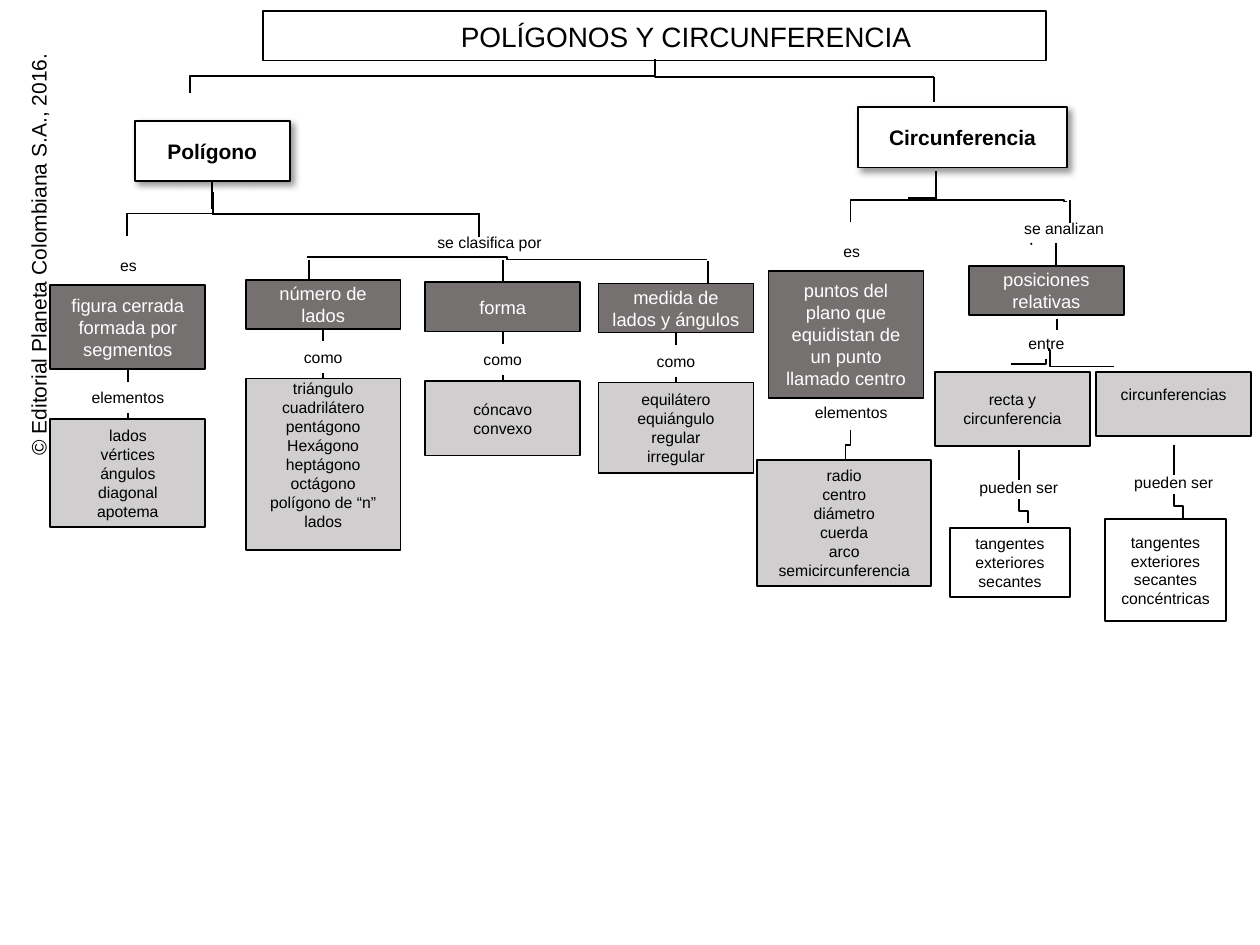
from lxml.etree import SubElement
from pptx import Presentation
from pptx.dml.color import RGBColor
from pptx.enum.shapes import MSO_CONNECTOR, MSO_SHAPE
from pptx.enum.text import MSO_ANCHOR, PP_ALIGN
from pptx.oxml.ns import qn
from pptx.util import Inches, Pt

COLOURS = {
    "black": "000000",
    "white": "FFFFFF",
    "term": "767171",
    "detail": "D0CECE",
}
SIZES = {"title": 16, "topic": 12, "term": 10.5, "detail": 9}
COLUMNS, ROWS = 100, 75
BOX_WIDTH = 12.3
LABEL_HEIGHT = 2.5


class ConceptMap:
    def __init__(self, deck):
        self.slide = deck.slides.add_slide(deck.slide_layouts[6])
        self.column = deck.slide_width / COLUMNS
        self.row = deck.slide_height / ROWS

    def scale(self, x, y):
        return round(x * self.column), round(y * self.row)

    def colour(self, name):
        return RGBColor.from_string(COLOURS[name])

    def set_text(self, box, text, size, ink="black", bold=False):
        frame = box.text_frame
        frame.text = text
        for para in frame.paragraphs:
            para.alignment = PP_ALIGN.CENTER
            for span in para.runs:
                span.font.name = "Arial"
                span.font.size = Pt(size)
                span.font.bold = bold
                span.font.color.rgb = self.colour(ink)

    def box(self, text, x, y, width, height, fill="white", style="detail", ink="black"):
        box = self.slide.shapes.add_shape(
            MSO_SHAPE.RECTANGLE, *self.scale(x, y), *self.scale(width, height)
        )
        box.shadow.inherit = False
        box.fill.solid()
        box.fill.fore_color.rgb = self.colour(fill)
        box.line.color.rgb = self.colour("black")
        box.line.width = Pt(1)
        box.text_frame.word_wrap = True
        box.text_frame.vertical_anchor = MSO_ANCHOR.MIDDLE
        self.set_text(box, text, SIZES[style], ink, style == "topic")
        return box

    def topic(self, text, x, y, width, height):
        box = self.box(text, x, y, width, height, style="topic")
        effects = box._element.spPr.find(qn("a:effectLst"))
        shadow = SubElement(
            effects, qn("a:outerShdw"), blurRad=str(Pt(4)), dist=str(Pt(3)), dir="2700000"
        )
        tint = SubElement(shadow, qn("a:srgbClr"), val=COLOURS["black"])
        SubElement(tint, qn("a:alpha"), val="40000")
        return box

    def term(self, text, x, y, height, width=BOX_WIDTH):
        return self.box(text, x, y, width, height, "term", "term", "white")

    def detail(self, text, x, y, height, width=BOX_WIDTH):
        return self.box(text, x, y, width, height, "detail")

    def label(self, text, x, y, width=BOX_WIDTH):
        box = self.slide.shapes.add_textbox(
            *self.scale(x, y), *self.scale(width, LABEL_HEIGHT)
        )
        box.text_frame.word_wrap = True
        self.set_text(box, text, SIZES["detail"])
        return box

    def side_note(self, text, x, y, width, height):
        note = self.slide.shapes.add_textbox(*self.scale(x, y), *self.scale(width, height))
        note.rotation = 270
        note.text_frame.word_wrap = False
        self.set_text(note, text, SIZES["topic"])

    def connector(self, kind, x1, y1, x2, y2):
        line = self.slide.shapes.add_connector(kind, *self.scale(x1, y1), *self.scale(x2, y2))
        line.line.color.rgb = self.colour("black")
        line.line.width = Pt(1)
        SubElement(line._element.spPr, qn("a:effectLst"))
        return line

    def straight(self, x1, y1, x2, y2):
        return self.connector(MSO_CONNECTOR.STRAIGHT, x1, y1, x2, y2)

    def link(self, upper, lower):
        line = self.straight(0, 0, 1, 1)
        line.begin_connect(upper, 2)
        line.end_connect(lower, 0)

    def elbow(self, x1, y1, x2, y2, bend=50):
        line = self.connector(MSO_CONNECTOR.ELBOW, x1, y1, x2, y2)
        guides = line._element.spPr.find(qn("a:prstGeom")).find(qn("a:avLst"))
        SubElement(guides, qn("a:gd"), name="adj1", fmla=f"val {round(bend * 1000)}")

    def drop(self, x1, y1, x2, y2, single_bend=False):
        width, height = abs(x2 - x1), y2 - y1
        left = (x1 + x2 - height) / 2
        right = left + height
        top = (y1 + y2 - width) / 2
        goes_right = x2 > x1
        start, end = (right, left) if goes_right else (left, right)
        line = self.connector(MSO_CONNECTOR.ELBOW, start, top, end, top + width)
        properties = line._element.spPr
        turn = 270 if goes_right else 90
        properties.find(qn("a:xfrm")).set("rot", str(turn * 60000))
        if single_bend:
            properties.find(qn("a:prstGeom")).set("prst", "bentConnector2")

    def branch(self, x, y, term, term_height, link_word, details, detail_height):
        label_top = y + term_height + 1
        head = self.term(term, x, y, term_height)
        word = self.label(link_word, x, label_top)
        body = self.detail(details, x, label_top + LABEL_HEIGHT + 0.45, detail_height)
        self.link(head, word)
        self.link(word, body)
        return head, body


def build_heading(chart):
    title = chart.box("POLÍGONOS Y CIRCUNFERENCIA", 20.9, 0.9, 62.1, 3.9, style="title")
    title.text_frame.margin_left = Inches(0.6)
    chart.drop(52, 4.7, 15.1, 7.4)
    chart.drop(52, 4.7, 74.1, 6.1, single_bend=True)
    chart.straight(74.1, 6.1, 74.1, 8.1)
    chart.side_note("© Editorial Planeta Colombiana S.A., 2016.", -14, 18.7, 34.1, 3)


def build_polygon(chart):
    polygon = chart.topic("Polígono", 10.7, 9.6, BOX_WIDTH, 4.8)
    stem = chart.straight(16.9, 14.4, 16.85, 16.6)
    stem.begin_connect(polygon, 2)
    chart.drop(16.9, 15.2, 10.1, 18.7)
    chart.straight(16.8, 17, 38, 17)
    chart.straight(38, 16.9, 38, 18.8)
    chart.label("es", 5.7, 19.8, 9)
    chart.label("se clasifica por", 32.7, 18)

    chart.branch(
        4, 22.6, "figura cerrada formada por segmentos", 6.7, "elementos",
        "lados\nvértices\nángulos\ndiagonal\napotema", 8.6,
    )
    _, shapes_list = chart.branch(
        19.5, 22.2, "número de lados", 3.9, "como",
        "triángulo\ncuadrilátero\npentágono\nHexágono\nheptágono\noctágono\n"
        "polígono de “n” lados", 13.6,
    )
    shapes_list.text_frame.margin_bottom = Inches(0.2)
    form, _ = chart.branch(33.75, 22.4, "forma", 3.9, "como", "cóncavo\nconvexo", 5.9)
    chart.branch(
        47.5, 22.5, "medida de lados y ángulos", 3.9, "como",
        "equilátero\nequiángulo\nregular\nirregular", 7.2,
    )
    chart.elbow(24.4, 20.4, 56.1, 20.6)
    chart.straight(24.5, 20.6, 24.5, 22.2)
    chart.straight(39.9, 20.6, 39.9, 22.4).end_connect(form, 0)
    chart.straight(56.2, 20.7, 56.2, 22.5)


def build_circle(chart):
    chart.topic("Circunferencia", 68.1, 8.5, 16.6, 4.8)
    chart.drop(74.3, 13.6, 72.1, 15.7, single_bend=True)
    chart.drop(74.3, 14.1, 67.5, 17.6)
    chart.elbow(74.2, 15.9, 84.7, 16, bend=97.8)
    chart.straight(84.9, 15.9, 84.9, 17.7)
    chart.label("es", 63.1, 18.7, 9)
    chart.label("se analizan", 78.3, 16.9)

    chart.term("puntos del plano que equidistan de un punto llamado centro", 61, 21.5, 10.1)
    chart.label("elementos", 61.4, 31.5)
    chart.drop(67.5, 34.1, 67.1, 36.5)
    chart.detail(
        "radio\ncentro\ndiámetro\ncuerda\narco\nsemicircunferencia", 60.1, 36.5, 10, 13.8
    )

    chart.straight(81.8, 19.4, 81.9, 19.3)
    chart.straight(83.8, 19.3, 83.8, 21.1)
    chart.term("posiciones relativas", 76.9, 21.1, 3.9)
    chart.straight(83.9, 25.3, 83.9, 26.2)
    chart.label("entre", 76.9, 26)
    chart.drop(83, 28.5, 80.2, 28.9, single_bend=True)
    chart.elbow(88.4, 29.1, 83.2, 27.8, bend=97.9)

    chart.detail("recta y circunferencia", 74.2, 29.5, 5.9)
    circles = chart.detail("circunferencias", 87, 29.5, 5.1)
    circles.text_frame.margin_bottom = Inches(0.2)
    chart.box("tangentes\nexteriores\nsecantes", 75.4, 41.9, 9.5, 5.5)
    chart.box("tangentes exteriores secantes concéntricas", 87.7, 41.2, 9.6, 8.1)
    for label_x, label_y in ((74.7, 37.4), (87, 37)):
        chart.label("pueden ser", label_x, label_y)
        middle = label_x + 6.15
        chart.straight(middle, label_y - 1.7, middle, label_y + 0.7)
        chart.drop(middle, label_y + 2.2, middle + 0.75, label_y + 4.1)


def main():
    deck = Presentation()
    deck.slide_width, deck.slide_height = Inches(10), Inches(7.5)
    chart = ConceptMap(deck)
    build_heading(chart)
    build_polygon(chart)
    build_circle(chart)
    deck.save("out.pptx")


if __name__ == "__main__":
    main()
